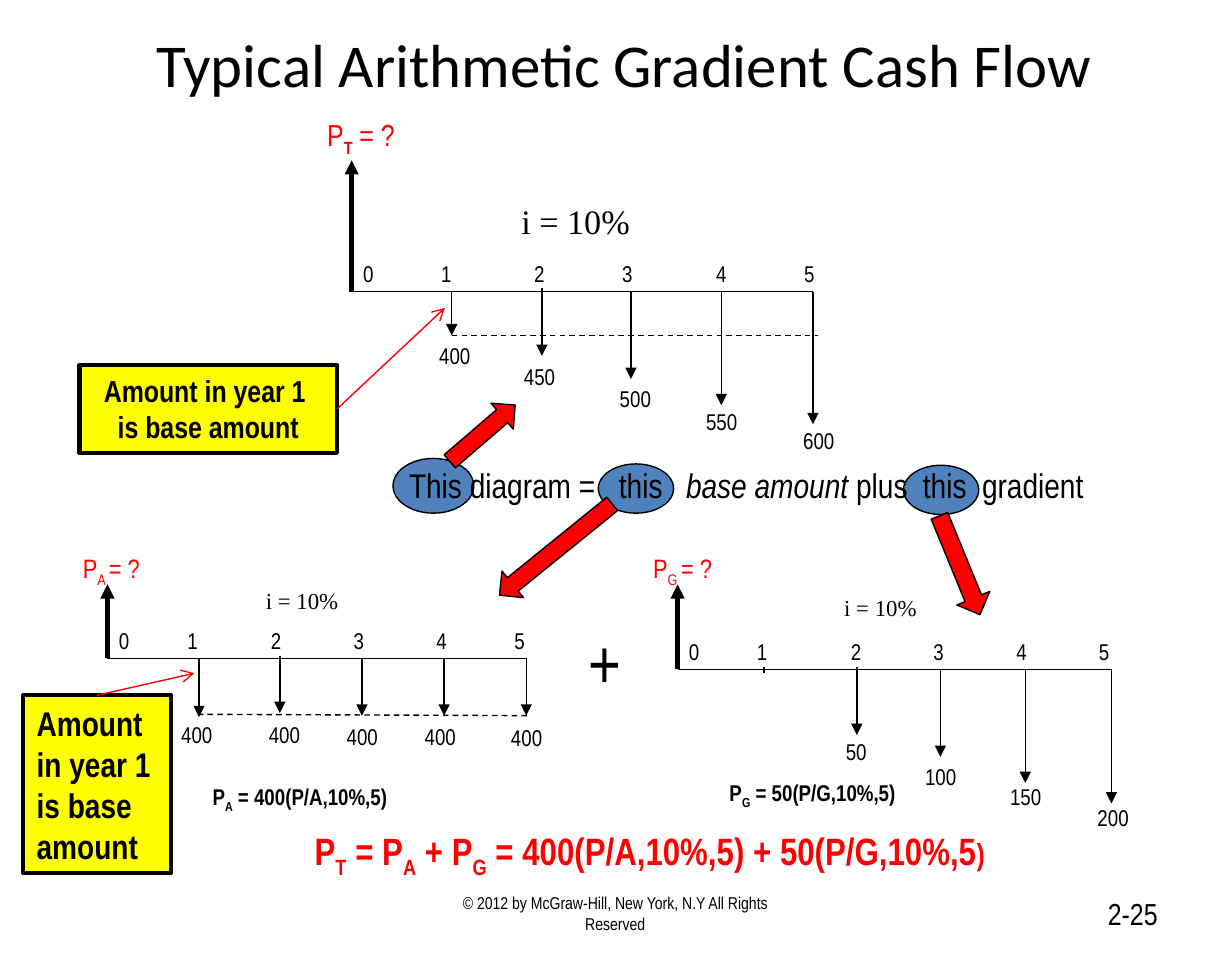
from lxml import etree
from pptx import Presentation
from pptx.dml.color import RGBColor
from pptx.enum.dml import MSO_LINE
from pptx.enum.shapes import MSO_CONNECTOR, MSO_SHAPE
from pptx.enum.text import MSO_ANCHOR, PP_ALIGN
from pptx.oxml.ns import qn
from pptx.util import Pt

STRAIGHT, DASH = MSO_CONNECTOR.STRAIGHT, MSO_LINE.DASH
RECT, OVAL, ARROW = MSO_SHAPE.RECTANGLE, MSO_SHAPE.OVAL, MSO_SHAPE.RIGHT_ARROW
LEFT, CENTER, RIGHT = PP_ALIGN.LEFT, PP_ALIGN.CENTER, PP_ALIGN.RIGHT
TOP, MIDDLE = MSO_ANCHOR.TOP, MSO_ANCHOR.MIDDLE
TOP_SIDE, RIGHT_SIDE = 0, 3
BLACK, RED, YELLOW, BLUE = "000000", "FF0000", "FFFF00", "4F81BD"
NARROW, SERIF, SANS = "Arial Narrow", "Times New Roman", "Calibri"


def rgb(color):
    return RGBColor.from_string(color)


def frame(tf, wrap=True, anchor=TOP, left=7.2, top=3.6):
    tf.word_wrap = True
    tf.vertical_anchor = anchor
    tf.margin_left, tf.margin_right = Pt(left), Pt(7.2 if wrap else 0)
    tf.margin_top = tf.margin_bottom = Pt(top)


def write(p, runs, size, color=BLACK, font=NARROW, align=LEFT, bold=False):
    """Add (text, style) runs; styles are '', 'sub', 'boldsub', 'italic' and 'small'."""
    p.alignment = align
    for text, style in runs:
        r = p.add_run()
        r.text = text
        f = r.font
        f.name, f.color.rgb = font, rgb(color)
        f.size = Pt(size * 0.8 if style == "small" else size)
        f.bold = bold or style == "boldsub"
        f.italic = style == "italic"
        if style.endswith("sub"):
            r._r.get_or_add_rPr().set("baseline", "-25000")


def set_tabs(p, stops):
    tabs = etree.SubElement(p._p.get_or_add_pPr(), qn("a:tabLst"))
    for stop in stops:
        etree.SubElement(tabs, qn("a:tab"), pos=str(Pt(stop)), algn="l")


def label(sl, x, y, w, h, runs, size, wrap=False, anchor=TOP, stops=(),
          left=7.2, top=3.6, **style):
    """Text box; without wrap it has no right margin, so its one line has room."""
    tf = sl.shapes.add_textbox(Pt(x), Pt(y), Pt(w), Pt(h)).text_frame
    frame(tf, wrap, anchor, left, top)
    p = tf.paragraphs[0]
    if stops:
        set_tabs(p, stops)
    runs = [(runs, "")] if isinstance(runs, str) else runs
    write(p, runs, size, **style)


def line(sl, x1, y1, x2, y2, width=0.75, color=BLACK, head=None, dash=None):
    c = sl.shapes.add_connector(STRAIGHT, Pt(x1), Pt(y1), Pt(x2), Pt(y2))
    c.line.width, c.line.color.rgb = Pt(width), rgb(color)
    if dash:
        c.line.dash_style = dash
    if head:
        etree.SubElement(c.line._get_or_add_ln(), qn("a:tailEnd"), type=head)
    etree.SubElement(c._element.spPr, qn("a:effectLst"))
    return c


def shape(sl, kind, x, y, w, h, fill, width=0.75, rotation=0):
    sp = sl.shapes.add_shape(kind, Pt(x), Pt(y), Pt(w), Pt(h))
    sp.shadow.inherit = False
    sp.fill.solid()
    sp.fill.fore_color.rgb = rgb(fill)
    sp.line.color.rgb, sp.line.width = rgb(BLACK), Pt(width)
    sp.rotation = rotation
    return sp


def cash_flow(sl, x, y, length, rise, name, name_rise, name_size, rate, stops, flows):
    """Diagram whose time axis starts at x, y.

    rate is dx, dy, w, h, size; each flow is dx, start, depth, value and label dx, dy.
    """
    line(sl, x, y, x, y - rise, 2.5, head="triangle")
    label(sl, x - 20, y - rise - name_rise, 63, 27, name, name_size, color=RED)
    dx, dy, w, h, size = rate
    label(sl, x + dx, y + dy, w, h, "i = 10%", size, font=SERIF)
    line(sl, x + length, y, x, y)
    periods = "\t".join(str(n) for n in range(6))
    label(sl, x - 20, y - 22.1, length + 48, 26, periods, 12,
          stops=stops, left=26, top=5.4)
    for dx, start, depth, value, label_dx, label_dy in flows:
        line(sl, x + dx, y + start, x + dx, y + depth, head="triangle")
        label(sl, x + label_dx, y + label_dy, 14.4 + 5.5 * len(value), 21.6, value, 12)


def total_diagram(sl, x, y):
    cash_flow(sl, x, y, 242.6, 69.1, [("P", ""), ("T", "boldsub"), (" = ?", "")], 26.7, 16,
              (82.1, -51.5, 71.3, 28.8, 18), (41, 90, 136.2, 185.7, 232),
              [(52.6, 0, 23, "400", 38.9, 23), (100, -2, 33.8, "450", 83.5, 33.8),
               (146.9, 0, 46, "500", 133.9, 45.4), (194.4, 0, 59.8, "550", 179.3, 57.6),
               (242.6, 0, 69.8, "600", 230.4, 67.7)])
    line(sl, x + 52.6, y + 23, x + 245.5, y + 23, dash=DASH)


def base_diagram(sl, x, y):
    cash_flow(sl, x, y, 220.3, 38.9, [("P", ""), ("A ", "sub"), ("= ?", "")], 20.6, 14,
              (76.3, -41, 52.6, 21.6, 12), (36, 80, 123.5, 167, 208),
              [(48.2, 0, 31, "400", 31.7, 29.5), (90.7, -1.4, 28.8, "400", 77.8, 29.5),
               (133.9, 0, 30.2, "400", 118.8, 30.2), (177.1, 0, 30.2, "400", 159.8, 30.2),
               (220.3, 0, 30.2, "400", 205.2, 31)])
    line(sl, x + 47.5, y + 29.5, x + 221, y + 30.2, dash=DASH)
    label(sl, x + 48.2, y + 62, 105.8, 23.8,
          [("P", ""), ("A", "sub"), (" = 400(P/A,10%,5)", "")], 12, bold=True)


def gradient_diagram(sl, x, y):
    cash_flow(sl, x, y, 228.2, 44.6, [("P", ""), ("G ", "sub"), ("= ?", "")], 20.6, 14,
              (80.6, -43.2, 52.6, 21.6, 12), (35.7, 85.2, 128.6, 172.3, 215.6),
              [(94.3, -1.4, 34.6, "50", 81.4, 32.4), (138.2, 0, 46.1, "100", 123.1, 45.4),
               (182.9, 0, 59.8, "150", 167.8, 56.2), (228.2, 0, 70.6, "200", 213.8, 67)])
    line(sl, x + 45.4, y - 1.4, x + 45.4, y + 2.2)
    label(sl, x + 20.2, y + 54, 101.5, 23.8,
          [("P", ""), ("G", "sub"), (" = 50(P/G,10%,5)", "")], 12, bold=True)


def sentence(sl, x, y):
    for dx, dy, w, h in ((267.1, 4.3, 39.6, 25.9), (106.6, 3.6, 39.6, 25.9),
                         (-1.4, 0.7, 42.5, 28.8)):
        shape(sl, OVAL, x + dx, y + dy, w, h, BLUE)
    label(sl, x, y, 376, 28.8,
          [("This diagram =\tthis\t", ""), ("base amount ", "italic"),
           ("plus\tthis\tgradient", "")],
          18, stops=(110.4, 145.7, 270.3, 301.4))
    for dx, dy, w, h, angle in ((23, -21.6, 45.4, 18, 319.3), (46.1, 39.6, 76.3, 18, 141),
                                (268.6, 47.5, 56.2, 18.7, 67.7)):
        shape(sl, ARROW, x + dx, y + dy, w, h, RED, rotation=angle)


def callout(sl, x, y, w, h, size, align, side, start, end):
    """Yellow note with a red arrow from the middle of one side."""
    sp = shape(sl, RECT, x, y, w, h, YELLOW, 2.25)
    tf = sp.text_frame
    frame(tf)
    write(tf.paragraphs[0], [("Amount in year 1 ", "")], size, align=align, bold=True)
    write(tf.add_paragraph(), [("is base amount", "")], size, align=align, bold=True)
    line(sl, *start, *end, color=RED, head="arrow").begin_connect(sp, side)


def footer(sl, x, y, h):
    label(sl, x, y, 205.2, h, "© 2012 by McGraw-Hill, New York, N.Y All Rights Reserved",
          9, wrap=True, anchor=MIDDLE, align=CENTER)
    label(sl, x + 243.8, y, 151.2, h, "2-25", 16, wrap=True, anchor=MIDDLE, align=RIGHT)


def main():
    prs = Presentation()
    prs.slide_width, prs.slide_height = Pt(648), Pt(504)
    sl = prs.slides.add_slide(prs.slide_layouts[6])
    label(sl, 53, 0, 550.8, 66.2, "Typical Arithmetic Gradient Cash Flow", 32,
          wrap=True, anchor=MIDDLE, font=SANS, align=CENTER)
    sentence(sl, 208.1, 240.5)
    total_diagram(sl, 185, 153.4)
    base_diagram(sl, 56.5, 346.3)
    label(sl, 302.4, 322.6, 31.7, 50.4, "+", 36)
    gradient_diagram(sl, 356.4, 352.1)
    label(sl, 158.4, 432, 366.5, 34.6,
          [("P", ""), ("T", "sub"), (" = P", ""), ("A", "sub"), (" + P", ""), ("G", "sub"),
           (" = 400(P/A,10%,5) + 50(P/G,10%,5", ""), (")", "small")],
          20, color=RED, bold=True)
    callout(sl, 12.2, 365.8, 77.8, 93.6, 18, LEFT, TOP_SIDE, (51.1, 365.8), (102.2, 354.2))
    callout(sl, 41.8, 192.2, 135.4, 46.1, 16, CENTER, RIGHT_SIDE, (177.1, 215.3), (234, 162))
    footer(sl, 221, 467.3, 26.6)
    prs.save("out.pptx")


if __name__ == "__main__":
    main()
